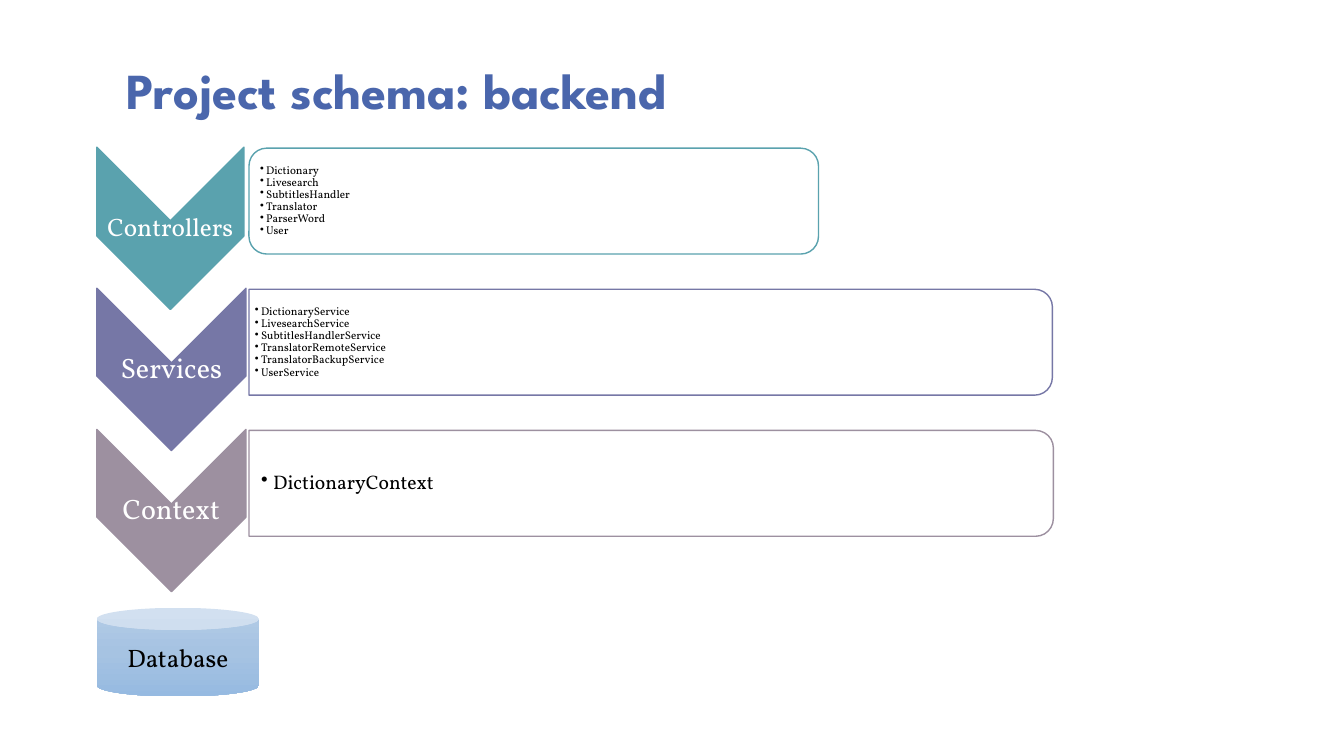
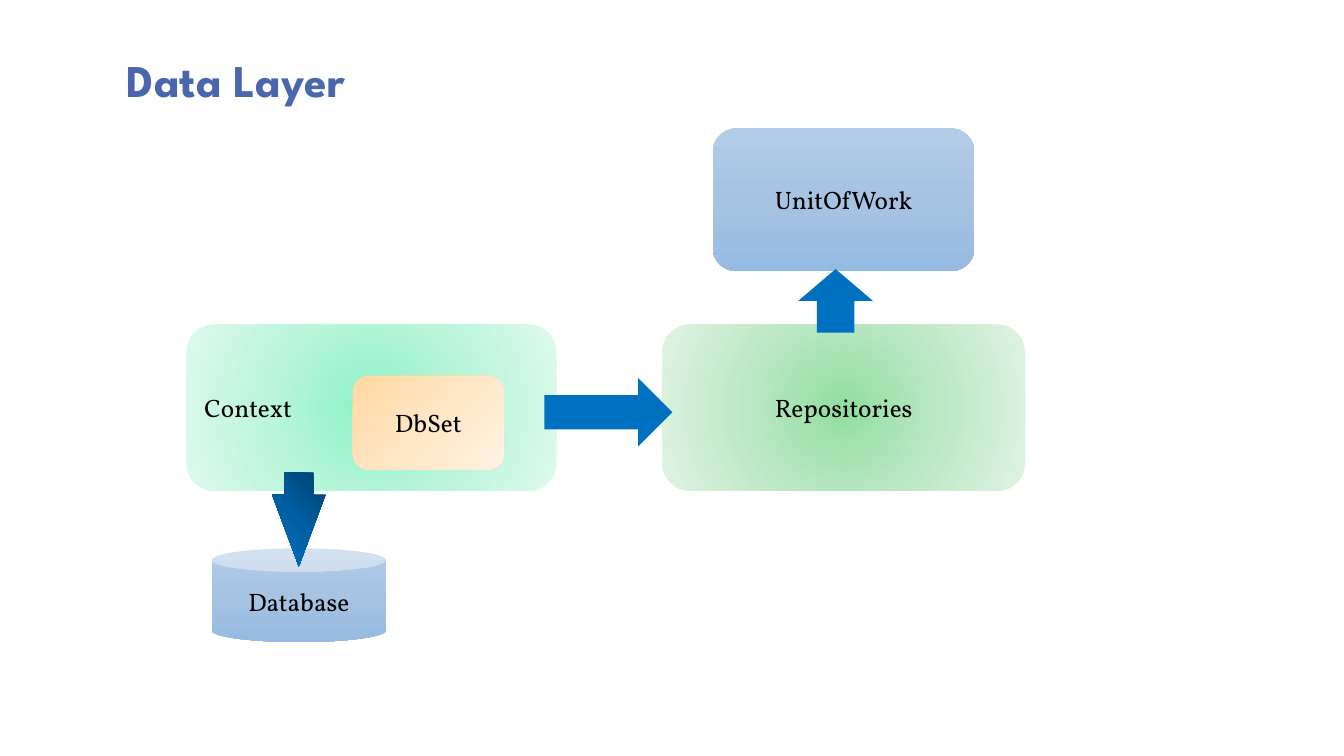
from lxml.etree import SubElement
from pptx import Presentation
from pptx.dml.color import RGBColor
from pptx.enum.shapes import MSO_SHAPE as SHAPE
from pptx.enum.text import MSO_ANCHOR as ANCHOR, MSO_AUTO_SIZE as AUTO, PP_ALIGN as ALIGN
from pptx.oxml.ns import qn
from pptx.util import Emu, Inches, Pt

HEAD_FONT, BODY_FONT = "League Spartan", "Vollkorn"
COLORS = {
    "title": "4A66AC", "text": "000000", "white": "FFFFFF", "arrow": "0070C0",
    "teal": "5AA2AE", "violet": "7677A6", "mauve": "9D90A0",
}
GRADIENTS = {
    "blue": (("B4CCE7", "A6C3E2", "96BAE1"), 90),
    "mint": (("8CF2C6", "BAF5DA", "DEF9EC"), None),
    "green": (("91DEA0", "BDE8C5", "DFF3E3"), None),
    "peach": (("FFD8A0", "FFE6C5", "FFF2E3"), 45),
    "deep": (("004272", "005EA2", "0070C0"), 135),
}

TITLES = (
    ("Project schema: backend", 36, (1.16, 0.58, 9.5, 0.65)),
    ("Data Layer", 32.4, (1.16, 0.58, 4.23, 0.52)),
)
LAYERS = (
    ("Controllers", 18, "teal", 1.46, 5.65, 8, 2.52,
     ("Dictionary", "Livesearch", "SubtitlesHandler", "Translator", "ParserWord", "User")),
    ("Services", 20, "violet", 1.48, 7.97, 8, 2.47,
     ("DictionaryService", "LivesearchService", "SubtitlesHandlerService",
      "TranslatorRemoteService", "TranslatorBackupService", "UserService")),
    ("Context", 20, "mauve", 1.48, 7.98, 14, 2.47, ("DictionaryContext",)),
)
STORE = ("Database", SHAPE.CAN, "blue", (0.96, 6.03, 1.61, 0.88), ALIGN.CENTER)
BLOCKS = (
    ("Database", SHAPE.CAN, "blue", (2.1, 5.44, 1.73, 0.93), ALIGN.CENTER),
    ("Context", SHAPE.ROUNDED_RECTANGLE, "mint", (1.85, 3.22, 3.67, 1.65), ALIGN.LEFT),
    ("Repositories", SHAPE.ROUNDED_RECTANGLE, "green", (6.57, 3.22, 3.6, 1.65), ALIGN.CENTER),
    ("UnitOfWork", SHAPE.ROUNDED_RECTANGLE, "blue", (7.07, 1.27, 2.6, 1.42), ALIGN.CENTER),
    ("DbSet", SHAPE.ROUNDED_RECTANGLE, "peach", (3.5, 3.73, 1.5, 0.93), ALIGN.CENTER),
)
ARROWS = (
    (SHAPE.RIGHT_ARROW, "arrow", (5.4, 3.75, 1.27, 0.68), ()),
    (SHAPE.DOWN_ARROW, "deep", (2.7, 4.69, 0.53, 0.93), (0.541, 1.341)),
    (SHAPE.UP_ARROW, "arrow", (7.92, 2.67, 0.74, 0.63), ()),
)

CHEVRON_LEFT, CHEVRON_TOP, CHEVRON_HEIGHT = 0.96, 1.46, 1.61
PANEL_LEFT, PANEL_TOP, PANEL_HEIGHT = 2.47, 1.47, 1.05
ROW_STEP, PANEL_PAD = 1.4, 0.05


def rgb(name):
    return RGBColor.from_string(COLORS[name])


def fill_gradient(shape, name):
    stops, angle = GRADIENTS[name]
    shape.fill.gradient()
    grad = shape._element.spPr.find(qn("a:gradFill"))
    for child in list(grad):
        grad.remove(child)
    stop_list = SubElement(grad, qn("a:gsLst"))
    for index, color in enumerate(stops):
        stop = SubElement(stop_list, qn("a:gs"), pos=str(index * 50000))
        SubElement(stop, qn("a:srgbClr"), val=color)
    if angle is None:
        circle = SubElement(grad, qn("a:path"), path="circle")
        SubElement(circle, qn("a:fillToRect"), **dict.fromkeys("ltrb", "50000"))
    else:
        SubElement(grad, qn("a:lin"), ang=str(angle * 60000), scaled="0")


def add_shape(slide, kind, box, fill, line=None, turned=False):
    left, top, width, height = box
    if turned:
        left, top = left + (width - height) / 2, top + (height - width) / 2
        width, height = height, width
    shape = slide.shapes.add_shape(kind, *map(Inches, (left, top, width, height)))
    shape.rotation = 90 if turned else 0
    shape.shadow.inherit = False
    if fill in GRADIENTS:
        fill_gradient(shape, fill)
    else:
        shape.fill.solid()
        shape.fill.fore_color.rgb = rgb(fill)
    if line:
        shape.line.color.rgb = rgb(line)
        shape.line.width = Pt(1)
    else:
        shape.line.fill.background()
    return shape


def write(shape, lines, size, color="text", align=ALIGN.CENTER, spacing=None, bullet=None):
    frame = shape.text_frame
    frame.word_wrap = True
    frame.vertical_anchor = ANCHOR.MIDDLE
    frame.text = "\n".join(lines)
    for paragraph in frame.paragraphs:
        paragraph.alignment = align
        if spacing:
            paragraph.line_spacing = spacing
        if bullet:
            props = paragraph._p.get_or_add_pPr()
            props.set("marL", str(Inches(bullet)))
            props.set("indent", str(-Inches(bullet)))
            SubElement(props, qn("a:buChar"), char="•")
        font = paragraph.font
        font.name, font.size, font.color.rgb = BODY_FONT, Pt(size), rgb(color)


def add_text(slide, box, lines, size, inset=0.01, **style):
    text = slide.shapes.add_textbox(*map(Inches, box))
    frame = text.text_frame
    frame.margin_left = Inches(inset)
    frame.margin_top = frame.margin_right = frame.margin_bottom = Inches(0.01)
    write(text, lines, size, spacing=0.9, **style)


def add_slide(deck, words, size, box):
    slide = deck.slides.add_slide(deck.slide_layouts[5])
    title = slide.shapes.title
    title.left, title.top, title.width, title.height = map(Inches, box)
    frame = title.text_frame
    frame.text = words
    frame.word_wrap = True
    frame.auto_size = AUTO.NONE
    frame.vertical_anchor = ANCHOR.BOTTOM
    paragraph = frame.paragraphs[0]
    paragraph.alignment, paragraph.line_spacing = ALIGN.LEFT, 0.8
    font = paragraph.font
    font.name, font.size, font.bold = HEAD_FONT, Pt(size), True
    font.color.rgb = rgb("title")
    return slide


def add_layer(slide, row, layer):
    label, label_size, color, chevron_width, panel_width, size, text_left, items = layer
    chevron_top = CHEVRON_TOP + row * ROW_STEP
    chevron = (CHEVRON_LEFT, chevron_top, chevron_width, CHEVRON_HEIGHT)
    add_shape(slide, SHAPE.CHEVRON, chevron, color, color, turned=True)
    add_text(slide, chevron, [label], label_size, color="white")
    panel_top = PANEL_TOP + row * ROW_STEP
    kind = SHAPE.ROUND_2_SAME_RECTANGLE if row else SHAPE.ROUNDED_RECTANGLE
    panel = (PANEL_LEFT, panel_top, panel_width, PANEL_HEIGHT)
    add_shape(slide, kind, panel, "white", color, turned=row > 0)
    text_box = (text_left, panel_top + PANEL_PAD,
                panel_width - 2 * PANEL_PAD, PANEL_HEIGHT - 2 * PANEL_PAD)
    indent = 0.12 if size > 8 else 0.06
    add_text(slide, text_box, items, size, inset=indent, align=ALIGN.LEFT, bullet=indent)


def add_block(slide, label, kind, fill, box, align):
    write(add_shape(slide, kind, box, fill), [label], 18, align=align)


deck = Presentation()
deck.slide_width, deck.slide_height = Emu(12192000), Inches(7.5)

backend, data_layer = [add_slide(deck, *title) for title in TITLES]
for row, layer in enumerate(LAYERS):
    add_layer(backend, row, layer)
add_block(backend, *STORE)

for block in BLOCKS:
    add_block(data_layer, *block)
for kind, fill, box, adjustments in ARROWS:
    arrow = add_shape(data_layer, kind, box, fill)
    for index, value in enumerate(adjustments):
        arrow.adjustments[index] = value

deck.save("out.pptx")
